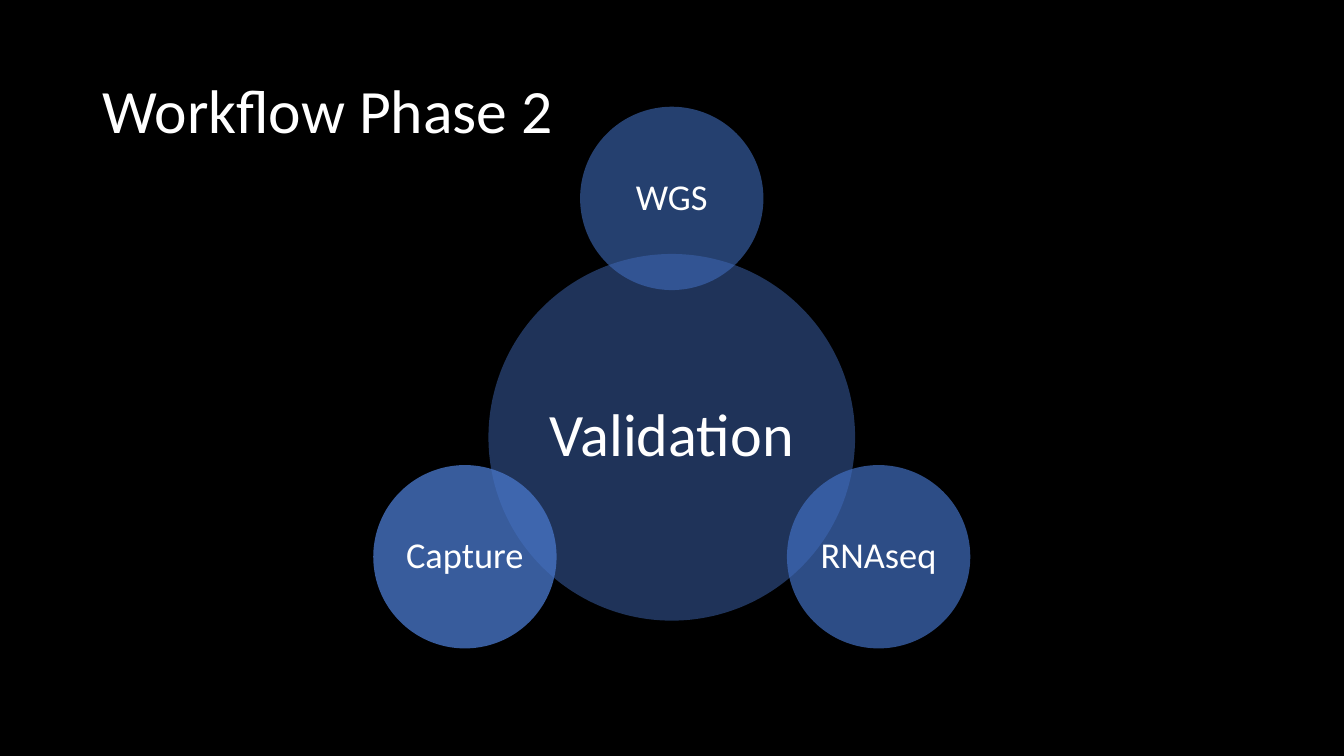
from dataclasses import dataclass
from math import cos, radians, sin

from lxml.etree import SubElement
from pptx import Presentation
from pptx.dml.color import RGBColor as Rgb
from pptx.enum.shapes import MSO_SHAPE as Kind
from pptx.enum.text import MSO_ANCHOR as Anchor, PP_ALIGN as Align
from pptx.oxml.ns import qn
from pptx.util import Cm, Pt


@dataclass(frozen=True)
class Theme:
    font: str = "Calibri"
    back: str = "000000"
    ink: str = "FFFFFF"
    head: int = 44
    core: int = 43
    node: int = 26


@dataclass(frozen=True)
class Disc:
    text: str
    color: str
    alpha: int  # percent opaque
    size: int  # points
    width: float  # cm
    inset: float  # cm
    reach: float = 0  # cm from the hub
    angle: float = 0  # degrees, clockwise from the right


THEME = Theme()
HUB = (16.93, 11.02)
WIDE, SMALL, ORBIT = 9.24, 4.62, 6.02

DISCS = [
    Disc("Validation", "3E67B2", 50, THEME.core, WIDE, 0.15),
    Disc("WGS", "3F6BBA", 60, THEME.node, SMALL, 0.1, ORBIT, -90),
    Disc("RNAseq", "416EC0", 70, THEME.node, SMALL, 0.1, ORBIT, 30),
    Disc("Capture", "4673C4", 80, THEME.node, SMALL, 0.1, ORBIT, 150),
]


def write(shape, text: str, size: int, align: Align) -> None:
    """Set one line of text, centred in height."""
    frame = shape.text_frame
    frame.text = text
    frame.word_wrap = True
    frame.vertical_anchor = Anchor.MIDDLE
    line = frame.paragraphs[0]
    line.alignment = align
    line.line_spacing = 0.9
    font = line.runs[0].font
    font.name = THEME.font
    font.size = Pt(size)
    font.color.rgb = Rgb.from_string(THEME.ink)


def draw(slide, disc: Disc) -> None:
    """Place a translucent disc on its orbit round the hub."""
    turn = radians(disc.angle)
    left = HUB[0] + disc.reach * cos(turn) - disc.width / 2
    top = HUB[1] + disc.reach * sin(turn) - disc.width / 2
    shape = slide.shapes.add_shape(
        Kind.OVAL, Cm(left), Cm(top), Cm(disc.width), Cm(disc.width))
    shape.shadow.inherit = False
    shape.line.fill.background()
    shape.fill.solid()
    shape.fill.fore_color.rgb = Rgb.from_string(disc.color)
    tint = shape.fill._xPr.find(qn("a:solidFill"))[0]
    SubElement(tint, qn("a:alpha")).set("val", str(disc.alpha * 1000))

    frame = shape.text_frame
    frame.margin_left = frame.margin_right = Cm(disc.inset)
    frame.margin_top = frame.margin_bottom = Cm(disc.inset)
    write(shape, disc.text, disc.size, Align.CENTER)


def main() -> None:
    deck = Presentation()
    deck.slide_width, deck.slide_height = Cm(33.87), Cm(19.05)
    slide = deck.slides.add_slide(deck.slide_layouts[6])

    # Background
    fill = slide.background.fill
    fill.solid()
    fill.fore_color.rgb = Rgb.from_string(THEME.back)

    # Hub and its three inputs
    for disc in DISCS:
        draw(slide, disc)

    # Title
    title = slide.shapes.add_textbox(Cm(2.33), Cm(1.01), Cm(12), Cm(3.68))
    write(title, "Workflow Phase 2", THEME.head, Align.LEFT)

    deck.save("out.pptx")


if __name__ == "__main__":
    main()
